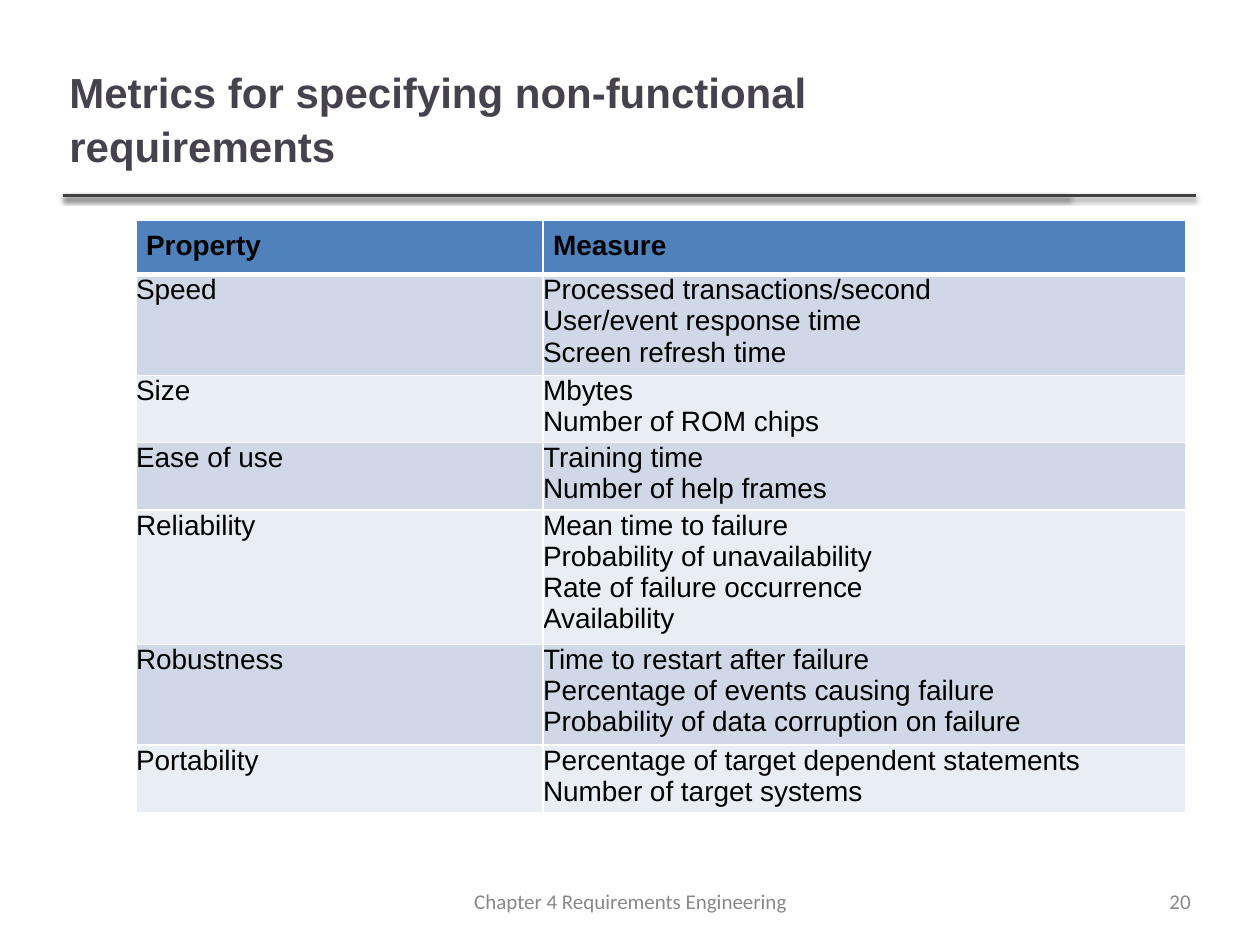
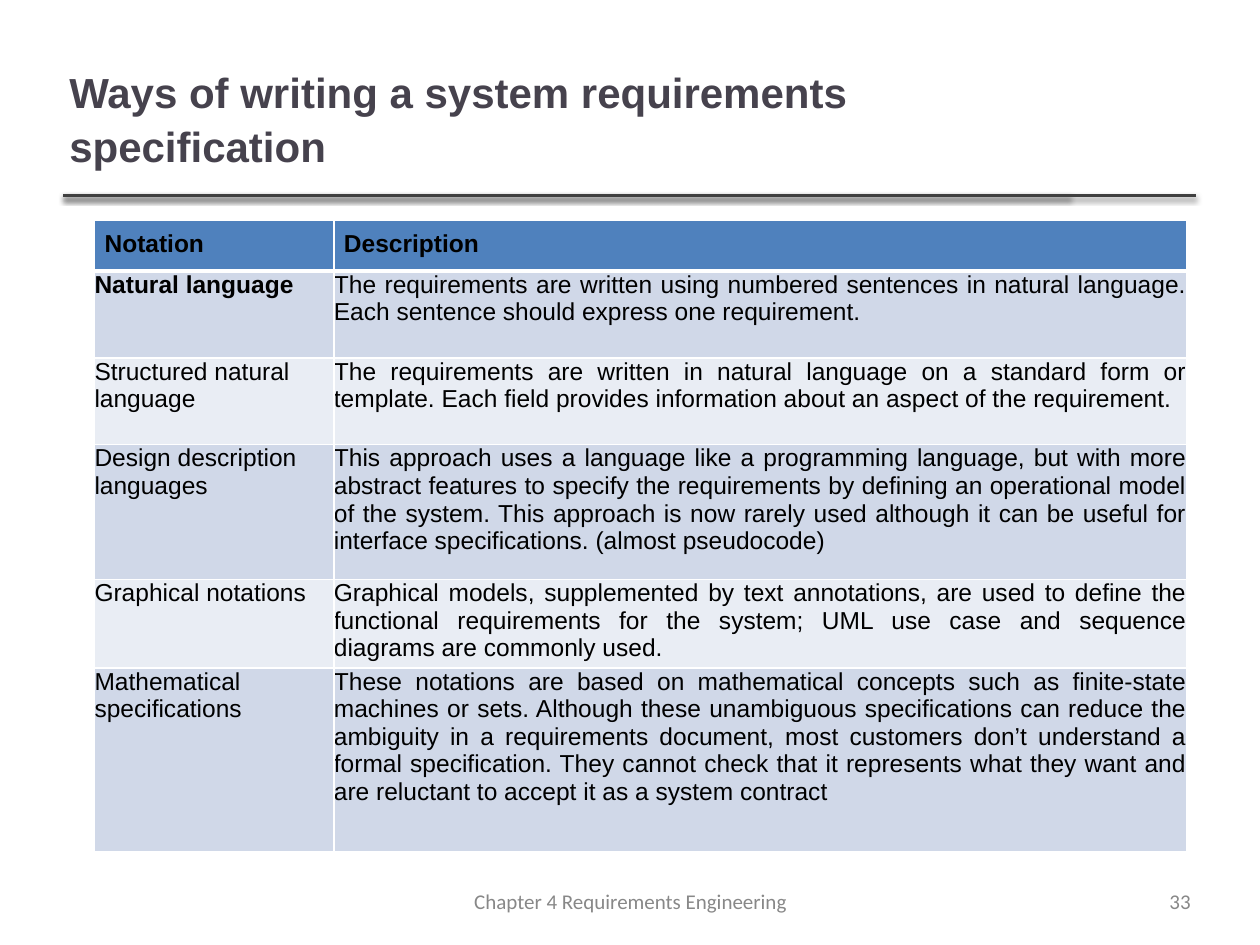
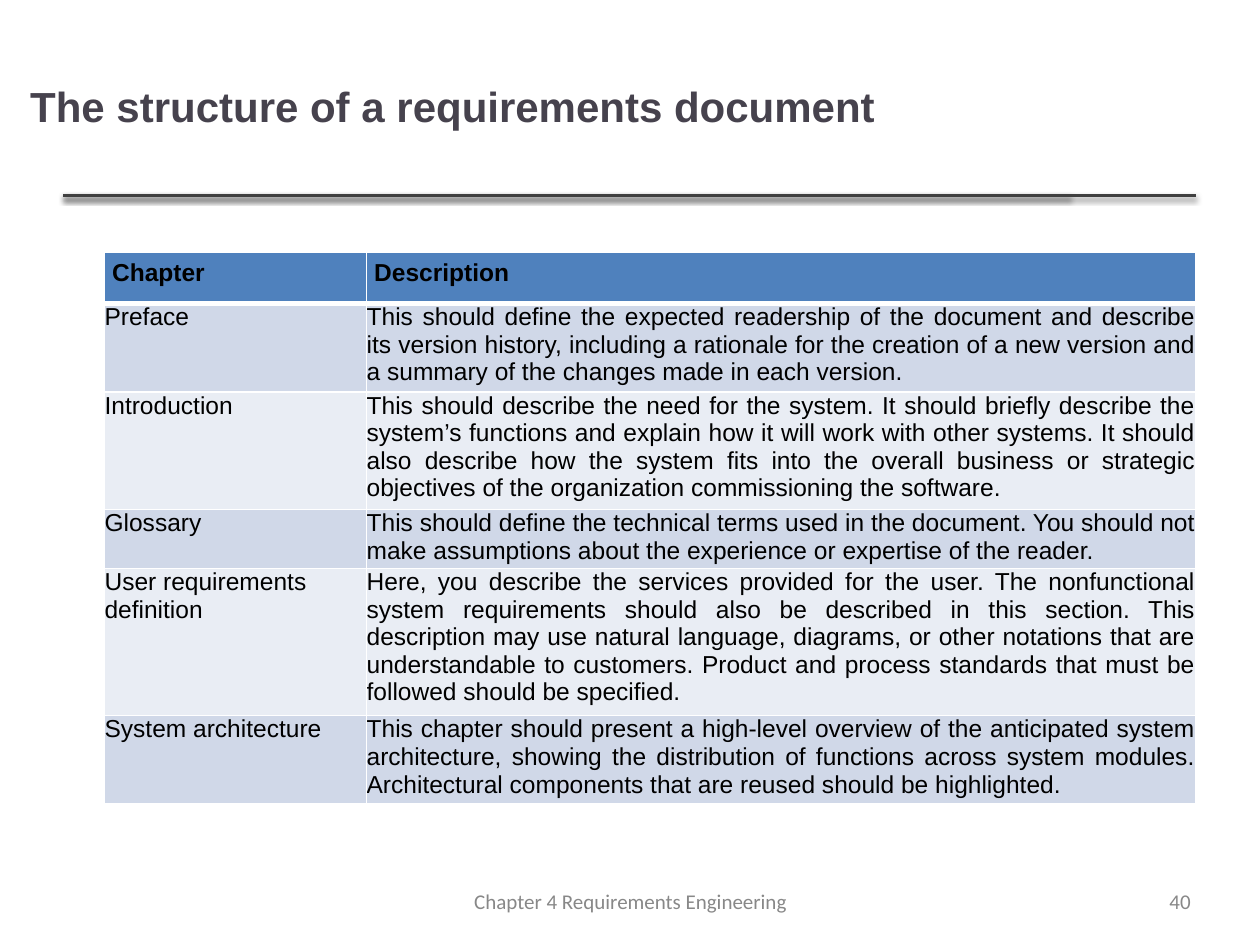
from lxml.etree import SubElement
from pptx import Presentation
from pptx.dml.color import RGBColor
from pptx.enum.shapes import MSO_CONNECTOR
from pptx.enum.text import MSO_ANCHOR, PP_ALIGN
from pptx.oxml import parse_xml
from pptx.oxml.ns import nsdecls, qn
from pptx.util import Inches, Pt

TITLE_GREY = RGBColor(0x46, 0x42, 0x4D)
RULE_GREY = RGBColor(0x40, 0x40, 0x40)
FOOTER_GREY = RGBColor(0x88, 0x88, 0x88)
BLACK = RGBColor(0x00, 0x00, 0x00)
WHITE = RGBColor(0xFF, 0xFF, 0xFF)
HEADER_BLUE = RGBColor(0x4F, 0x81, 0xBD)
BAND_COLOURS = (RGBColor(0xD0, 0xD8, 0xE8), RGBColor(0xE9, 0xED, 0xF4))

FOOTER = "Chapter 4 Requirements Engineering"
TITLE_AREA = (0.5, 0.3, 7.98, 1.25)
RULE_TOP = 1.55
RULE_LEFT = 0.5
RULE_ENDS = (8.49, 9.49)

METRICS = [
    ("Property", "Measure"),
    ("Speed", "Processed transactions/second\nUser/event response time\n"
              "Screen refresh time"),
    ("Size", "Mbytes\nNumber of ROM chips"),
    ("Ease of use", "Training time\nNumber of help frames"),
    ("Reliability", "Mean time to failure\nProbability of unavailability\n"
                    "Rate of failure occurrence\nAvailability"),
    ("Robustness", "Time to restart after failure\n"
                   "Percentage of events causing failure\n"
                   "Probability of data corruption on failure"),
    ("Portability", "Percentage of target dependent statements\n"
                    "Number of target systems"),
]

NOTATIONS = [
    ("Notation", "Description"),
    ("Natural language",
     "The requirements are written using numbered sentences in natural "
     "language. Each sentence should express one requirement."),
    ("Structured natural language",
     "The requirements are written in natural language on a standard form or "
     "template. Each field provides information about an aspect of the "
     "requirement."),
    ("Design description languages",
     "This approach uses a language like a programming language, but with "
     "more abstract features to specify the requirements by defining an "
     "operational model of the system. This approach is now rarely used "
     "although it can be useful for interface specifications. (almost "
     "pseudocode)"),
    ("Graphical notations",
     "Graphical models, supplemented by text annotations, are used to define "
     "the functional requirements for the system; UML use case and sequence "
     "diagrams are commonly used."),
    ("Mathematical specifications",
     "These notations are based on mathematical concepts such as finite-state "
     "machines or sets. Although these unambiguous specifications can reduce "
     "the ambiguity in a requirements document, most customers don’t "
     "understand a formal specification. They cannot check that it represents "
     "what they want and are reluctant to accept it as a system contract"),
]

CHAPTERS = [
    ("Chapter", "Description"),
    ("Preface",
     "This should define the expected readership of the document and describe "
     "its version history, including a rationale for the creation of a new "
     "version and a summary of the changes made in each version."),
    ("Introduction",
     "This should describe the need for the system. It should briefly "
     "describe the system’s functions and explain how it will work with other "
     "systems. It should also describe how the system fits into the overall "
     "business or strategic objectives of the organization commissioning the "
     "software."),
    ("Glossary",
     "This should define the technical terms used in the document. You should "
     "not make assumptions about the experience or expertise of the reader."),
    ("User requirements definition",
     "Here, you describe the services provided for the user. The "
     "nonfunctional system requirements should also be described in this "
     "section. This description may use natural language, diagrams, or other "
     "notations that are understandable to customers. Product and process "
     "standards that must be followed should be specified."),
    ("System architecture",
     "This chapter should present a high-level overview of the anticipated "
     "system architecture, showing the distribution of functions across "
     "system modules. Architectural components that are reused should be "
     "highlighted."),
]


class LectureDeck:
    """Shared style and the slide being built."""

    def __init__(self):
        self.deck = Presentation()
        self.deck.slide_width = Inches(10)
        self.deck.slide_height = Inches(7.5)
        self.page = None

    def add_page(self, title, number, title_area=TITLE_AREA):
        self.page = self.deck.slides.add_slide(self.deck.slide_layouts[6])
        for end in RULE_ENDS:
            self.rule(end)
        heading = self.text(title, title_area, 24, "Arial", TITLE_GREY, bold=True)
        heading.line_spacing = 1.07
        self.text(FOOTER, (3.47, 7.02, 3.07, 0.27), 12, "Calibri", FOOTER_GREY,
                  PP_ALIGN.CENTER)
        self.text(str(number), (9.22, 7.02, 0.28, 0.27), 12, "Calibri",
                  FOOTER_GREY, PP_ALIGN.RIGHT, wrap=False)

    def rule(self, end):
        line = self.page.shapes.add_connector(
            MSO_CONNECTOR.STRAIGHT, Inches(RULE_LEFT), Inches(RULE_TOP),
            Inches(end), Inches(RULE_TOP))
        line.line.color.rgb = RULE_GREY
        line.line.width = Pt(2)
        # Soft shadow straight below the line
        line._element.spPr.append(parse_xml(
            f'<a:effectLst {nsdecls("a")}>'
            f'<a:outerShdw blurRad="{Pt(3)}" dist="{Pt(1.6)}" dir="5400000" '
            'rotWithShape="0"><a:srgbClr val="000000"><a:alpha val="38000"/>'
            '</a:srgbClr></a:outerShdw></a:effectLst>'))

    def text(self, words, area, size, face, colour, align=PP_ALIGN.LEFT,
             bold=False, wrap=True):
        box = self.page.shapes.add_textbox(*map(Inches, area))
        frame = box.text_frame
        frame.word_wrap = wrap
        frame.vertical_anchor = MSO_ANCHOR.MIDDLE
        self.set_margins(frame, 0.05)
        frame.text = words
        paragraph = frame.paragraphs[0]
        self.format(paragraph, size, face, colour, align, bold)
        return paragraph

    def table(self, rows, left, top, widths, heights, size, header_margin,
              bold_labels=()):
        grid = self.page.shapes.add_table(
            len(rows), len(widths), Inches(left), Inches(top),
            Inches(sum(widths)), Inches(sum(heights))).table
        for column, width in zip(grid.columns, widths):
            column.width = Inches(width)
        for index, (words, height) in enumerate(zip(rows, heights)):
            grid.rows[index].height = Inches(height)
            header = index == 0
            for position, content in enumerate(words):
                cell = grid.cell(index, position)
                cell.text = content
                self.set_margins(cell, header_margin if header else 0)
                cell.fill.solid()
                cell.fill.fore_color.rgb = (
                    HEADER_BLUE if header else BAND_COLOURS[(index - 1) % 2])
                self.borders(cell, top=3 if index == 1 else 1,
                             bottom=3 if header else 1)
                align = PP_ALIGN.JUSTIFY if position else PP_ALIGN.LEFT
                for paragraph in cell.text_frame.paragraphs:
                    self.format(paragraph, size, "Arial", BLACK, align,
                                header or content in bold_labels)

    @staticmethod
    def borders(cell, top, bottom):
        properties = cell._tc.get_or_add_tcPr()
        sides = {"lnL": 1, "lnR": 1, "lnT": top, "lnB": bottom}
        for order, (side, width) in enumerate(sides.items()):
            edge = SubElement(properties, qn(f"a:{side}"), w=str(Pt(width)))
            fill = SubElement(edge, qn("a:solidFill"))
            SubElement(fill, qn("a:srgbClr"), val=str(WHITE))
            properties.insert(order, edge)

    @staticmethod
    def set_margins(holder, margin):
        holder.margin_left = holder.margin_right = Inches(margin)
        holder.margin_top = holder.margin_bottom = Inches(margin)

    @staticmethod
    def format(paragraph, size, face, colour, align, bold):
        paragraph.alignment = align
        for span in paragraph.runs:
            span.font.size = Pt(size)
            span.font.name = face
            span.font.bold = bold
            span.font.color.rgb = colour


def main():
    lecture = LectureDeck()

    # Metrics
    lecture.add_page("Metrics for specifying non-functional requirements", 20)
    lecture.table(METRICS, 1.08, 1.75, (3.23, 5.1),
                  (0.43, 0.75, 0.53, 0.53, 0.96, 0.75, 0.53), 16, 0.08)

    # Notations
    lecture.add_page("Ways of writing a system requirements specification", 33)
    lecture.table(NOTATIONS, 0.75, 1.75, (1.9, 6.77),
                  (0.4, 0.69, 0.69, 1.07, 0.69, 1.46), 14, 0.08,
                  bold_labels=("Natural language",))

    # Document structure: rows grow with their text
    lecture.add_page("The structure of a requirements document", 40,
                     (0.19, 0.23, 8.06, 1.19))
    lecture.table(CHAPTERS, 0.83, 2, (2.08, 6.58), [0.41] * len(CHAPTERS),
                  14, 0.06)

    lecture.deck.save("out.pptx")


if __name__ == "__main__":
    main()
